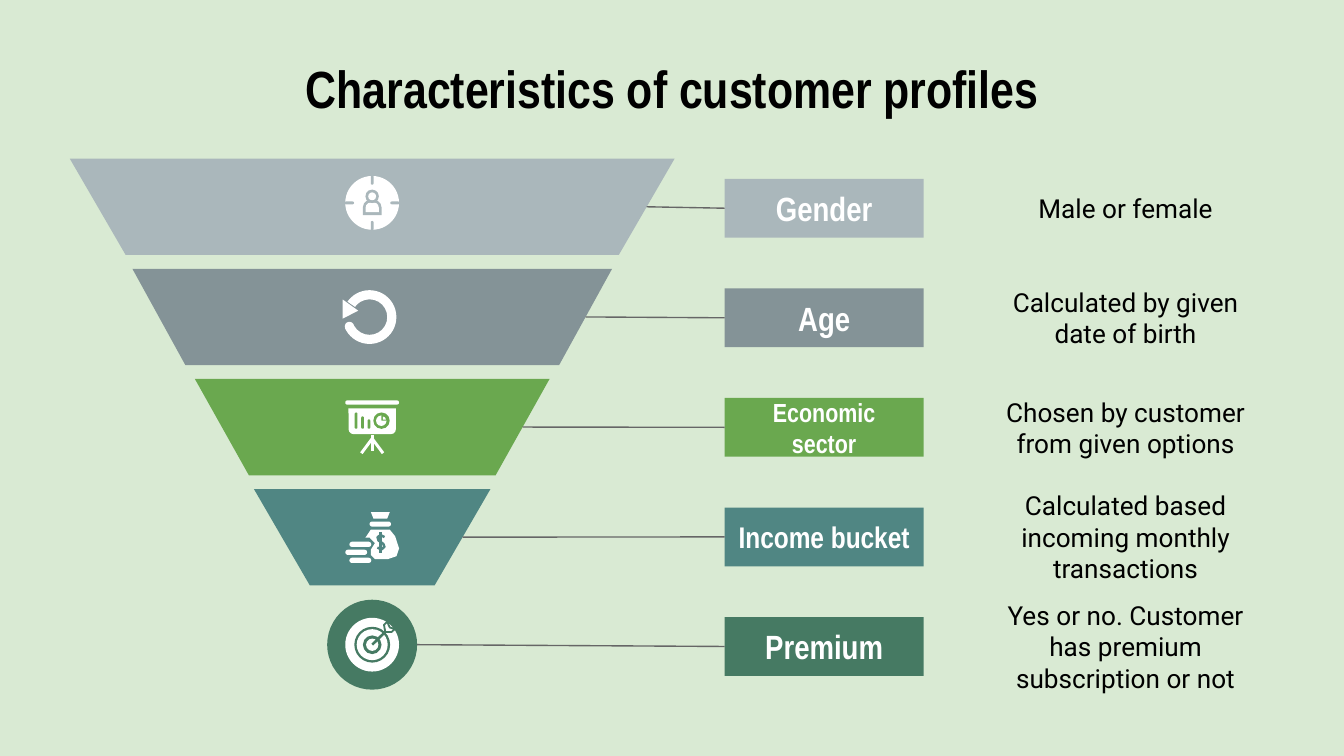
"""Build the customer profile funnel slide."""
from pptx import Presentation
from pptx.dml.color import RGBColor
from pptx.enum.shapes import MSO_CONNECTOR, MSO_SHAPE
from pptx.enum.text import MSO_ANCHOR, MSO_AUTO_SIZE, PP_ALIGN
from pptx.oxml import parse_xml
from pptx.util import Pt

WHITE, BLACK, LINE = "FFFFFF", "000000", "666666"
GREY, SLATE, GREEN, TEAL, PINE = "AAB7BB", "849397", "6AA84F", "508683", "467A63"
NO_EFFECT = '<a:effectLst xmlns:a="http://schemas.openxmlformats.org/drawingml/2006/main"/>'


def rgb(value):
    return RGBColor.from_string(value)


class Deck:
    heading = {"name": "Arial Narrow", "bold": True}
    body = {"name": "Roboto", "bold": False}
    frame = {"word_wrap": True, "auto_size": MSO_AUTO_SIZE.NONE,
             "vertical_anchor": MSO_ANCHOR.MIDDLE,
             "margin_left": Pt(7.2), "margin_right": Pt(7.2),
             "margin_top": Pt(7.2), "margin_bottom": Pt(7.2)}

    def __init__(self, width, height, background):
        self.prs = Presentation()
        self.prs.slide_width, self.prs.slide_height = Pt(width), Pt(height)
        self.s = self.prs.slides.add_slide(self.prs.slide_layouts[5])
        self.s.background.fill.solid()
        self.s.background.fill.fore_color.rgb = rgb(background)

    def label(self, sp, text, size, color, style):
        tf = sp.text_frame
        for name, value in self.frame.items():
            setattr(tf, name, value)
        p = tf.paragraphs[0]
        p.alignment = PP_ALIGN.CENTER
        r = p.add_run()
        r.text = text
        for name, value in {**style, "size": Pt(size)}.items():
            setattr(r.font, name, value)
        r.font.color.rgb = rgb(color)

    def title(self, text, x, y, w, h):
        sp = self.s.shapes.title
        sp.left, sp.top, sp.width, sp.height = Pt(x), Pt(y), Pt(w), Pt(h)
        self.label(sp, text, 28, BLACK, self.heading)

    def text(self, text, x, y, w, h):
        sp = self.s.shapes.add_textbox(Pt(x), Pt(y), Pt(w), Pt(h))
        self.label(sp, text, 14, BLACK, self.body)

    def paint(self, sp, fill):
        sp.shadow.inherit = False
        sp.line.fill.background()
        sp.fill.solid()
        sp.fill.fore_color.rgb = rgb(fill)
        return sp

    def shape(self, kind, x, y, w, h, fill=WHITE, adj=(), rotation=0):
        sp = self.s.shapes.add_shape(kind, Pt(x), Pt(y), Pt(w), Pt(h))
        for i, value in enumerate(adj):
            sp.adjustments[i] = value
        sp.rotation = rotation
        return self.paint(sp, fill)

    def disc(self, cx, cy, radius, fill=WHITE):
        return self.shape(MSO_SHAPE.OVAL, cx - radius, cy - radius, 2 * radius, 2 * radius, fill)

    def pill(self, x, y, w, h, fill=WHITE):
        return self.shape(MSO_SHAPE.ROUNDED_RECTANGLE, x, y, w, h, fill, [0.5])

    def outline(self, points, close=True):
        start, *rest = [(Pt(x), Pt(y)) for x, y in points]
        fb = self.s.shapes.build_freeform(*start)
        fb.add_line_segments(rest, close=close)
        return self.paint(fb.convert_to_shape(), WHITE)

    def stroke(self, points, color, width):
        sp = self.outline(points, close=False)
        sp.fill.background()
        sp.line.color.rgb = rgb(color)
        sp.line.width = Pt(width)

    def connect(self, x, y, box):
        c = self.s.shapes.add_connector(MSO_CONNECTOR.STRAIGHT, Pt(x), Pt(y), box.left, box.top)
        c.end_connect(box, 1)
        c.line.color.rgb = rgb(LINE)
        c.line.width = Pt(0.75)
        c._element.spPr.append(parse_xml(NO_EFFECT))


def gender_icon(deck, cx):
    cy = 108.7
    deck.disc(cx, cy, 14.4)
    for side in (-1, 1):
        deck.pill(cx - 0.75, cy + side * 12.2 - 2.5, 1.5, 5, GREY)
        deck.pill(cx + side * 12.2 - 2.5, cy - 0.75, 5, 1.5, GREY)
    for inset, fill in ((0, GREY), (1.5, WHITE)):
        deck.shape(MSO_SHAPE.ROUND_2_SAME_RECTANGLE, cx - 5 + inset, 107 + inset,
                   10 - 2 * inset, 8.2 - 2 * inset, fill, [0.5, 0])
    deck.disc(cx, 105.2, 3.6, GREY)
    deck.disc(cx, 105.2, 2.1)


def age_icon(deck):
    deck.shape(MSO_SHAPE.BLOCK_ARC, 183.6, 155.5, 28.8, 28.8, adj=[129, 93, 0.17])
    deck.disc(187.2, 174.9, 2.5)
    deck.outline([(183.6, 160.5), (183.6, 170.7), (191.9, 166.5)])


def sector_icon(deck, cx):
    deck.pill(cx - 14.4, 214.5, 28.8, 2.3)
    deck.shape(MSO_SHAPE.ROUND_2_SAME_RECTANGLE, cx - 12.7, 218.8, 25.4, 13.8,
               adj=[0.2, 0], rotation=180)
    for x, y in ((190, 221), (193.5, 223.1), (196.9, 224.7)):
        deck.pill(x, y, 1.5, 229.7 - y, GREEN)
    deck.disc(204.4, 225.4, 4.4, GREEN)
    deck.shape(MSO_SHAPE.PIE, 201.5, 222.6, 5.6, 5.6, adj=[0, 162])
    deck.shape(MSO_SHAPE.PIE, 203.5, 223.2, 3.2, 3.2, adj=[162, 0])
    deck.stroke([(193.6, 242.8), (cx, 235), (205.2, 242.8)], WHITE, 1.6)
    deck.stroke([(cx, 233), (cx, 241.6)], WHITE, 1.6)


def income_icon(deck):
    deck.shape(MSO_SHAPE.TRAPEZOID, 198.7, 274.4, 10.1, 3.4, adj=[0.4], rotation=180)
    deck.pill(198, 279.4, 11.5, 2.7)
    for x, y in ((187.2, 290.2), (185, 294.5), (187.2, 298.8)):
        deck.pill(x, y, 11.7, 2.8)
    deck.outline([(198.7, 283.7), (208.8, 283.7), (211.7, 287.3), (213.8, 293.8),
                  (212.4, 298), (208, 299.5), (200.9, 299.5), (198.7, 297.4),
                  (198.7, 294.5), (200.9, 291), (198, 288), (195.8, 288)])
    deck.stroke([(206, 287.8), (204, 286.7), (202.3, 287.8), (202.8, 289.6),
                 (205.4, 291.4), (206, 293), (204.4, 294.4), (202.2, 293.4)], TEAL, 1.3)
    deck.stroke([(203.9, 285.2), (203.9, 296.4)], TEAL, 1.2)


def premium_icon(deck, cx, cy):
    for radius, fill in ((14.4, WHITE), (9.6, PINE), (8.3, WHITE), (5, PINE), (3.3, WHITE)):
        deck.disc(cx, cy, radius, fill)
    deck.stroke([(cx, cy), (208, 337)], PINE, 1.4)
    fletch = deck.outline([(207.4, 333.1), (205.7, 334.8), (206.4, 338.6),
                           (209.8, 338.6), (211.5, 337), (208.8, 336.2)])
    fletch.line.color.rgb = rgb(PINE)
    fletch.line.width = Pt(1)


def main():
    rows = [("Gender", 18, GREY, "Male or female", 324, 0.58),
            ("Age", 18, SLATE, "Calculated by given date of birth", 257, 0.55),
            ("Economic sector", 14, GREEN, "Chosen by customer from given options", 190, 0.56),
            ("Income bucket", 16, TEAL, "Calculated based incoming monthly transactions", 126.7, 0.58),
            ("Premium", 18, PINE, "Yes or no. Customer has premium subscription or not", None, None)]
    cx, target_y, radius, tier_h = 199.4, 345.4, 24.1, 51.6
    deck = Deck(720, 405, "D9EAD3")
    deck.title("Characteristics of customer profiles", 36, 32.4, 648, 29.5)
    for i, (name, size, color, detail, width, slant) in enumerate(rows):
        y = 95.8 + 58.7 * i
        box = deck.shape(MSO_SHAPE.RECTANGLE, 388.2, y, 106.6, 31.5, color)
        deck.label(box, name, size, WHITE, deck.heading)
        deck.text(detail, 522, y, 162, 31.5)
        if width:
            top = 85 + 59 * i
            deck.shape(MSO_SHAPE.TRAPEZOID, cx - width / 2, top, width, tier_h,
                       color, [slant], 180)
            deck.connect(cx + width / 2 - slant * tier_h / 2, top + tier_h / 2, box)
        else:
            deck.disc(cx, target_y, radius, color)
            deck.connect(cx + radius, target_y, box)
    gender_icon(deck, cx)
    age_icon(deck)
    sector_icon(deck, cx)
    income_icon(deck)
    premium_icon(deck, cx, target_y)
    deck.prs.save("out.pptx")


if __name__ == "__main__":
    main()
